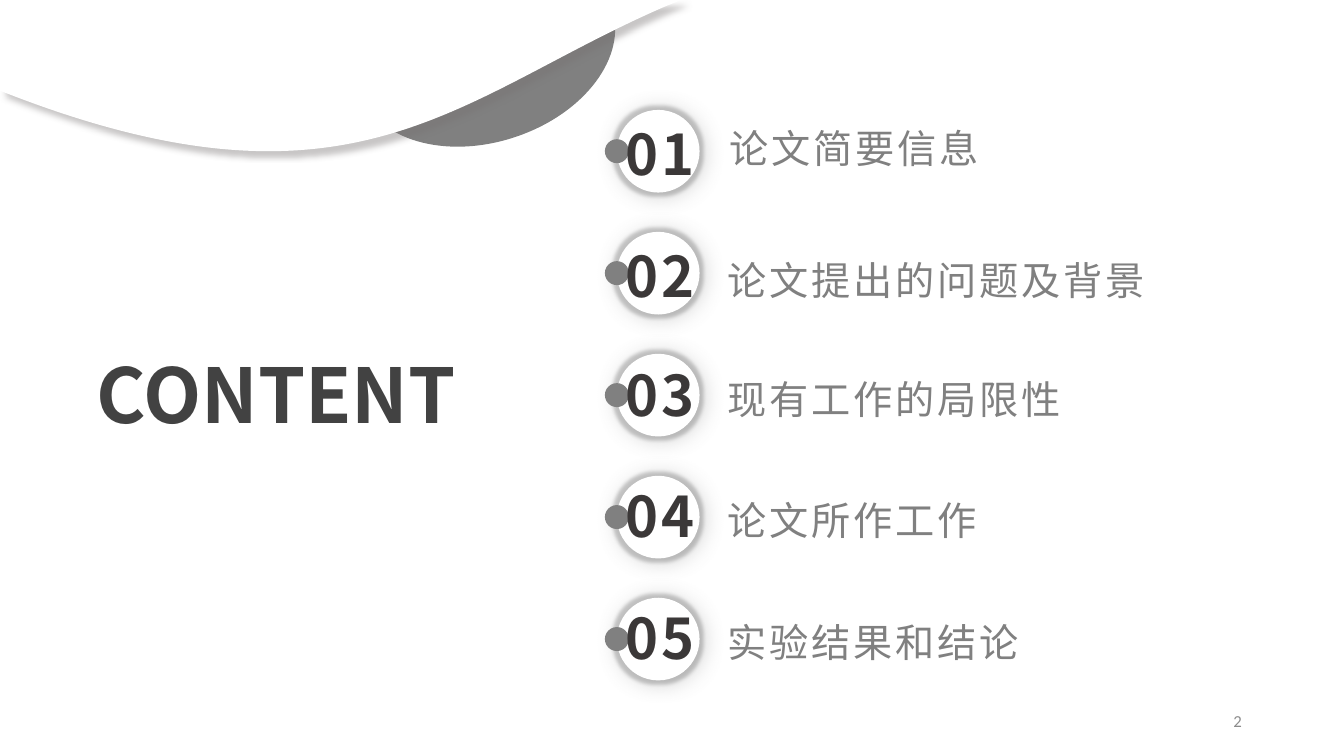
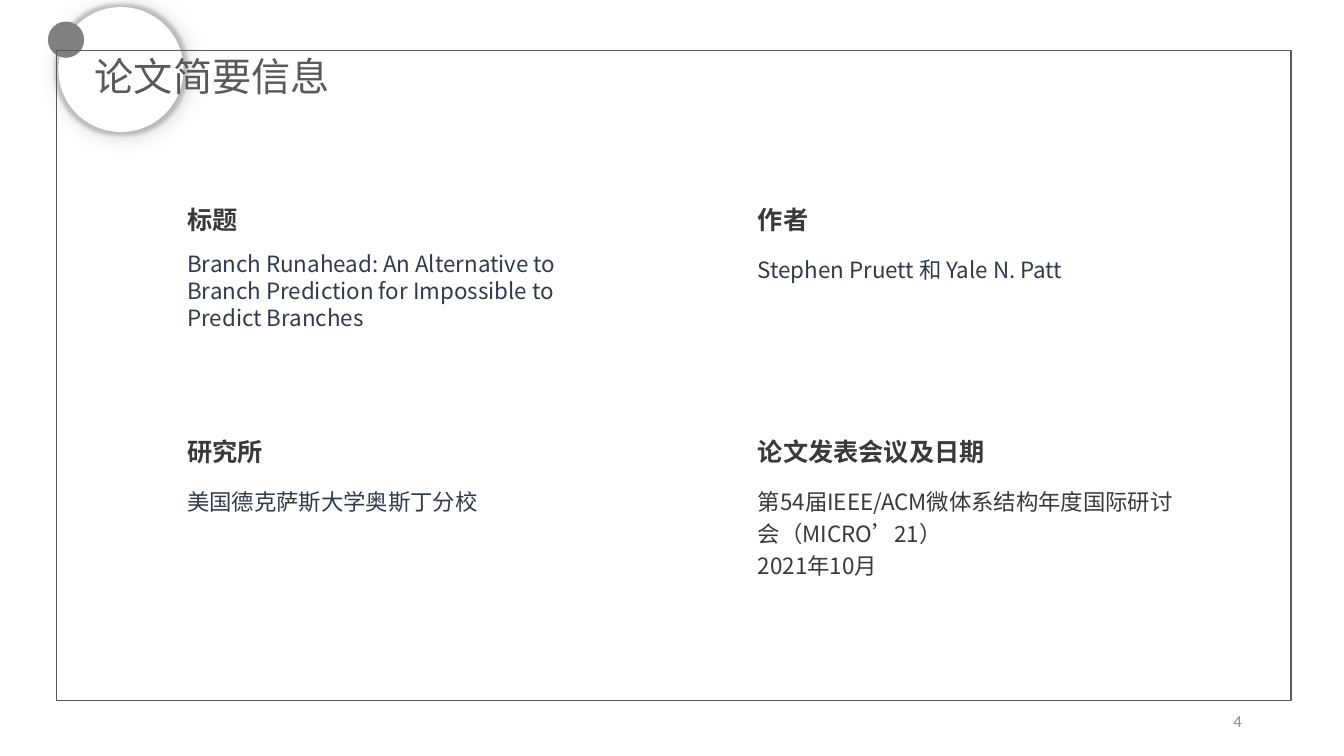
import math

from lxml import etree
from pptx import Presentation
from pptx.dml.color import RGBColor
from pptx.enum.shapes import MSO_SHAPE
from pptx.enum.text import MSO_ANCHOR, MSO_AUTO_SIZE, PP_ALIGN
from pptx.oxml.ns import qn
from pptx.util import Inches, Pt

OVAL, RECT = MSO_SHAPE.OVAL, MSO_SHAPE.RECTANGLE
TOP, MIDDLE = MSO_ANCHOR.TOP, MSO_ANCHOR.MIDDLE
LEFT, CENTER, RIGHT = PP_ALIGN.LEFT, PP_ALIGN.CENTER, PP_ALIGN.RIGHT
GROW, FIXED = MSO_AUTO_SIZE.SHAPE_TO_FIT_TEXT, MSO_AUTO_SIZE.NONE

W, H = 40 / 3, 7.5
SANS, LATIN, MONO = "Noto Sans CJK SC", "Calibri", "Courier New"
COLORS = {
    "white": "FFFFFF",
    "gray": "808080",
    "wave_shadow": "767171",
    "page": "8C8C8C",
    "heading": "424242",
    "ink": "3B3838",
    "navy": "303A4E",
    "frame": "595959",
}
BADGE_SHADOW = ("gray", 16, 2, 30)
WAVE_SHADOW = ("wave_shadow", 4, 6, 45)
BADGE_GLOW = ("gray", 5)

AGENDA = [
    ("论文简要信息", SANS, 0.09, (0.3, 0.14, 3.03, 0.47), None),
    ("论文提出的问题及背景", LATIN, 0.09, (0.28, 0.13, 4.42, 0.56), 1.3),
    ("现有工作的局限性", LATIN, 0.06, (0.28, 0.21, 3.66, 0.47), None),
    ("论文所作工作", LATIN, 0.06, (0.28, 0.2, 3.66, 0.47), None),
    ("实验结果和结论", LATIN, 0.06, (0.28, 0.2, 3.66, 0.47), None),
]
FACTS = [
    ("标题", 1.59, ["Branch Runahead: An Alternative to Branch Prediction "
                  "for Impossible to Predict Branches"],
     "navy", (4.31, 0.91), None),
    ("作者", 1.59, ["Stephen Pruett 和 Yale N. Patt"], "navy", (4.13, 0.4), 1.2),
    ("研究所", 1.59, ["美国德克萨斯大学奥斯丁分校"], "navy", (4.13, 0.4), 1.2),
    ("论文发表会议及日期", 2.78,
     ["第54届IEEE/ACM微体系结构年度国际研讨会（MICRO’21）", "2021年10月"],
     "ink", (4.42, 1.04), 1.2),
]
BLOB = [
    [(3.89, 0)],
    [(6.04, 0)],
    [(6.07, 0.08)],
    [(6.23, 0.56), (5.8, 1.13), (5.11, 1.36)],
    [(4.42, 1.59), (3.73, 1.39), (3.57, 0.91)],
    [(3.47, 0.61), (3.6, 0.27), (3.88, 0.01)],
]
WAVE = [
    [(0, 0)],
    [(6.76, 0)],
    [(6.61, 0.06)],
    [(4.54, 0.95), (3.52, 2.29), (0, 0.9)],
]


def rgb(name):
    return RGBColor.from_string(COLORS[name])


def write(shapes, box, lines, size=16, font=SANS, color="ink", bold=False,
          align=LEFT, anchor=TOP, inset=True, leading=None, tracking=0,
          wrap=True, fit=GROW):
    sp = shapes.add_textbox(*map(Inches, box))
    tf = sp.text_frame
    tf.word_wrap = wrap
    tf.auto_size = fit
    tf.vertical_anchor = anchor
    if not inset:
        tf.margin_left = tf.margin_right = tf.margin_top = tf.margin_bottom = 0
    for i, line in enumerate([lines] if isinstance(lines, str) else lines):
        p = tf.add_paragraph() if i else tf.paragraphs[0]
        p.alignment = align
        if leading:
            p.line_spacing = leading
        r = p.add_run()
        r.text = line
        r.font.size = Pt(size)
        r.font.name = font
        r.font.bold = bold
        r.font.color.rgb = rgb(color)
        r_pr = r.font._element
        if tracking:
            r_pr.set("spc", str(tracking * 100))
        etree.SubElement(r_pr, qn("a:ea")).set("typeface", SANS)
    return sp


def add_effect(sp, tag, color, **attrs):
    effects = sp._element.spPr.find(qn("a:effectLst"))
    effect = etree.SubElement(effects, qn(tag), attrs)
    clr = etree.SubElement(effect, qn("a:srgbClr"), val=COLORS[color])
    etree.SubElement(clr, qn("a:alpha"), val="40000")


def paint(sp, fill=None, line=None, shadow=None, glow=None):
    sp.shadow.inherit = False
    if fill:
        sp.fill.solid()
        sp.fill.fore_color.rgb = rgb(fill)
    else:
        sp.fill.background()
    if line:
        sp.line.color.rgb = rgb(line)
        sp.line.width = Pt(1)
    else:
        sp.line.fill.background()
    if glow:
        color, radius = glow
        add_effect(sp, "a:glow", color, rad=str(Pt(radius)))
    if shadow:
        color, blur, dist, angle = shadow
        add_effect(sp, "a:outerShdw", color, blurRad=str(Pt(blur)),
                   dist=str(Pt(dist)), dir=str(angle * 60000), algn="ctr",
                   rotWithShape="0")


def add_shape(shapes, kind, box, **style):
    sp = shapes.add_shape(kind, *map(Inches, box))
    paint(sp, **style)
    return sp


def turn(point, center, degrees):
    dx, dy = point[0] - center[0], point[1] - center[1]
    cos, sin = math.cos(math.radians(degrees)), math.sin(math.radians(degrees))
    return center[0] + dx * cos - dy * sin, center[1] + dx * sin + dy * cos


def add_outline(shapes, box, segments, rotation=0, **style):
    x, y, w, h = box
    corners = [(x, y), (x + w, y), (x + w, y + h), (x, y + h)]
    emu = [(Inches(a), Inches(b)) for a, b in corners]
    builder = shapes.build_freeform(*emu[0], scale=1.0)
    builder.add_line_segments(emu[1:], close=True)
    sp = builder.convert_to_shape()
    path = next(sp._element.iter(qn("a:path")))
    for child in list(path):
        path.remove(child)
    for i, seg in enumerate(segments):
        tag = "a:cubicBezTo" if len(seg) == 3 else "a:lnTo" if i else "a:moveTo"
        node = etree.SubElement(path, qn(tag))
        for point in seg:
            px, py = turn(point, (x + w / 2, y + h / 2), -rotation)
            etree.SubElement(node, qn("a:pt"), x=str(Inches(px - x)),
                             y=str(Inches(py - y)))
    etree.SubElement(path, qn("a:close"))
    sp.rotation = rotation
    paint(sp, **style)


def add_badge(shapes, x, y, size, tilt=0):
    group = shapes.add_group_shape().shapes
    add_shape(group, OVAL, (x, y, size, size), fill="white",
              shadow=BADGE_SHADOW, glow=BADGE_GLOW)
    radius, dot = size / 2, size * 0.29
    dot_x, dot_y = turn((x, y + radius), (x + radius, y + radius), tilt)
    add_shape(group, OVAL, (dot_x - dot / 2, dot_y - dot / 2, dot, dot),
              fill="gray")
    return group


def add_page_number(shapes, number):
    write(shapes, (9.42, 6.95, 3, 0.4), str(number), size=12, font=LATIN,
          color="page", align=RIGHT, anchor=MIDDLE, fit=FIXED)


def add_agenda(shapes, x, y, size, pitch):
    for i, (text, font, drop, label, leading) in enumerate(AGENDA):
        top = y + i * pitch
        group = add_badge(shapes, x, top, size)
        write(group, (x - 0.15, top + drop, 1.15, 0.67), f"{i + 1:02}", size=40,
              bold=True, align=CENTER, anchor=MIDDLE, inset=False, tracking=2)
        dx, dy, w, h = label
        write(shapes, (x + size + dx, top + dy, w, h), text, size=28, font=font,
              color="gray", anchor=MIDDLE, inset=False, leading=leading, tracking=2)


def add_facts(shapes, x, y, col, row):
    for i, (head, head_w, body, color, size, leading) in enumerate(FACTS):
        left, top = x + i % 2 * col, y + i // 2 * row
        write(shapes, (left, top, head_w, 0.4), head, size=18, bold=True)
        write(shapes, (left, top + (0.46 if leading else 0.45), *size), body,
              color=color, leading=leading)


def new_slide(prs, number):
    shapes = prs.slides.add_slide(prs.slide_layouts[6]).shapes
    add_page_number(shapes, number)
    return shapes


def contents_slide(prs):
    shapes = new_slide(prs, 2)
    add_outline(shapes, (3.53, -0.27, 2.64, 1.68), BLOB, rotation=-18.4,
                fill="gray")
    write(shapes, (0.86, 3.4, 3.99, 1.01), "CONTENT", size=54, color="heading",
          bold=True, wrap=False)
    add_outline(shapes, (0, 0, 6.76, 1.5), WAVE, fill="white", shadow=WAVE_SHADOW)
    add_agenda(shapes, 6.12, 1.09, 0.82, 1.21)


def paper_slide(prs):
    shapes = new_slide(prs, 4)
    x, y, w, h = 0.56, 0.5, 12.25, 6.45
    add_badge(shapes, x + 0.02, y - 0.43, 1.24, tilt=28.5)
    add_shape(shapes, RECT, (x, y, w, h), line="frame")
    add_facts(shapes, x + 1.2, y + 1.48, 5.66, 2.3)
    write(shapes, (x + 0.38, y + 0.02, 3.11, 0.47), "论文简要信息", size=28,
          font=MONO, color="frame", anchor=MIDDLE, inset=False)


def main():
    prs = Presentation()
    prs.slide_width, prs.slide_height = Inches(W), Inches(H)
    contents_slide(prs)
    paper_slide(prs)
    prs.save("out.pptx")


if __name__ == "__main__":
    main()
